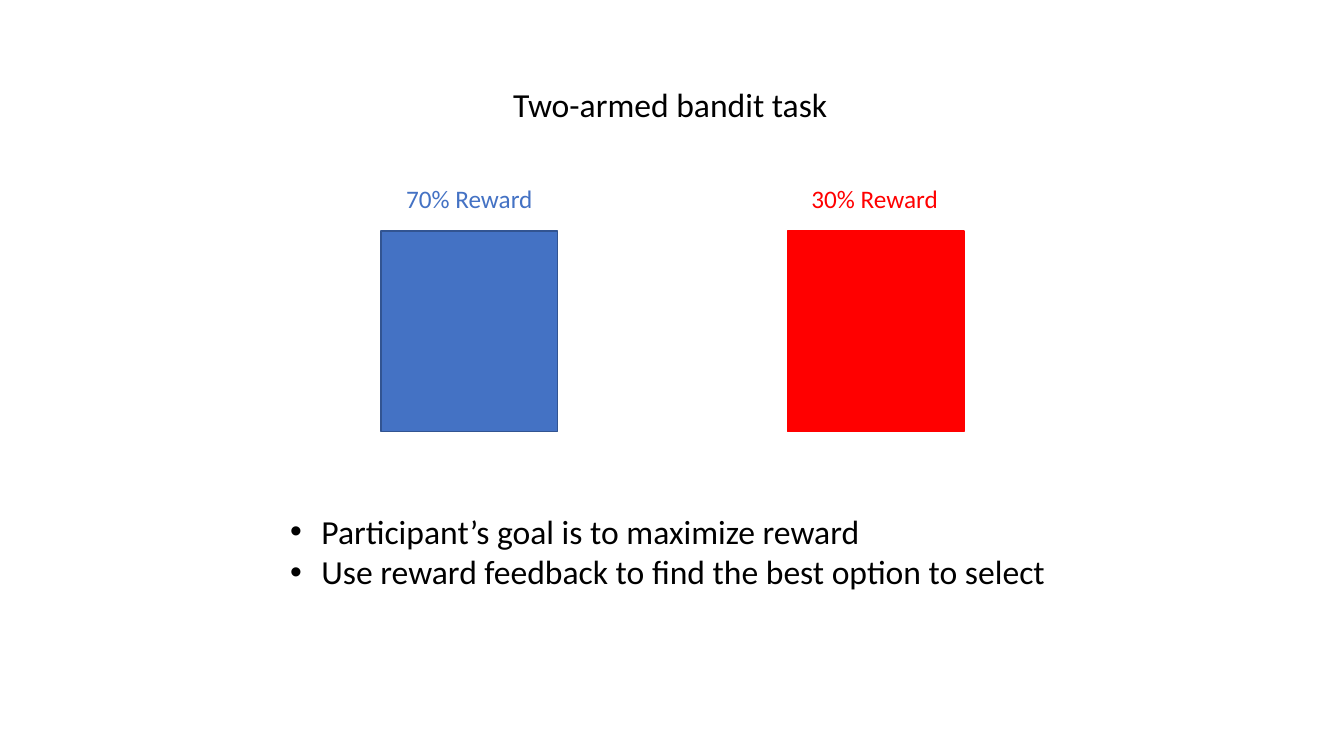
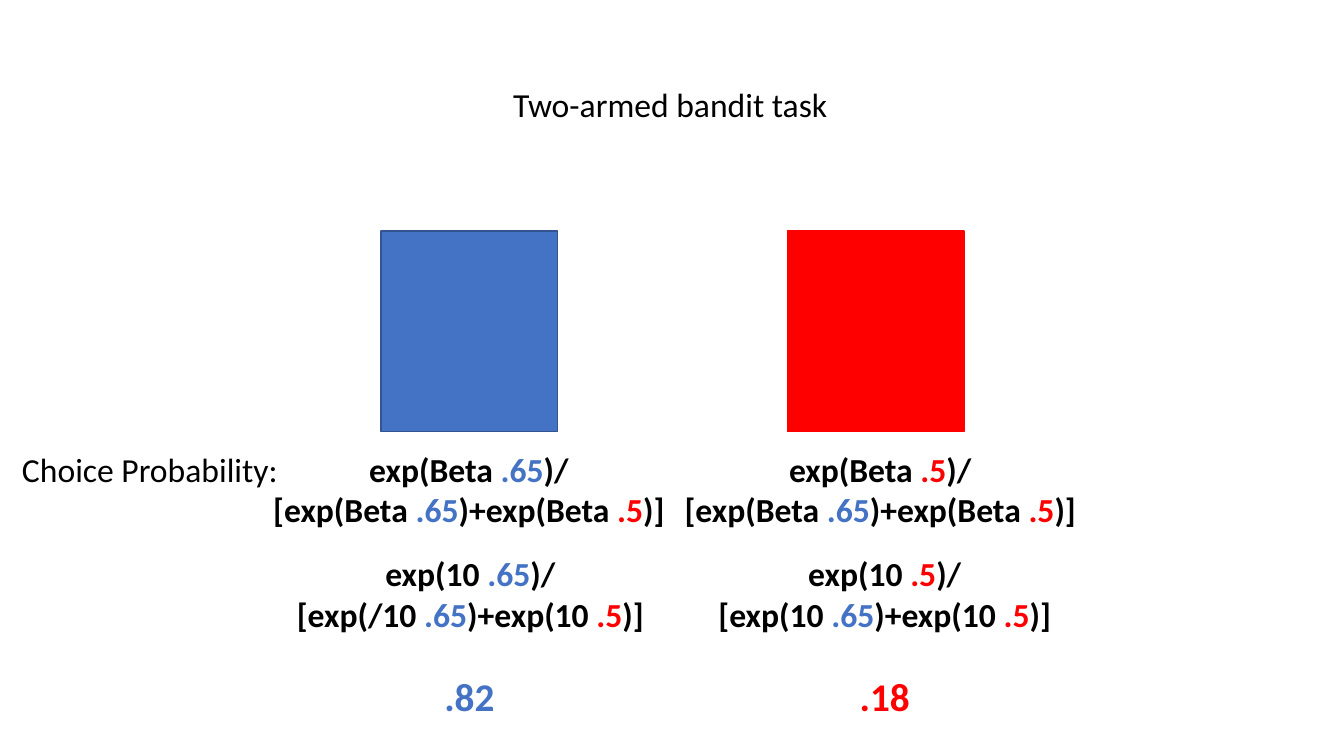
from lxml import etree
from pptx import Presentation
from pptx.dml.color import RGBColor
from pptx.enum.shapes import MSO_SHAPE
from pptx.enum.text import MSO_AUTO_SIZE, PP_ALIGN
from pptx.oxml.ns import qn
from pptx.util import Inches, Pt

RECTANGLE = MSO_SHAPE.RECTANGLE
LEFT, CENTER = PP_ALIGN.LEFT, PP_ALIGN.CENTER
FIT_SHAPE = MSO_AUTO_SIZE.SHAPE_TO_FIT_TEXT

COLORS = {"text": "000000", "blue": "4472C4", "blue_edge": "325491", "red": "FF0000"}
FORMATS = {
    "body": {"name": "Calibri", "size": Pt(24)},
    "reward": {"name": "Calibri", "size": Pt(18)},
    "formula": {"name": "Calibri", "size": Pt(24), "bold": True},
    "result": {"name": "Calibri", "size": Pt(28), "bold": True},
}
FRAME = {"word_wrap": False, "auto_size": FIT_SHAPE}
INDENT = Inches(0.31)
ARMS_BOX = (3.78, 2.29, 5.78, 1.99)
ARM_WIDTH = 1.75
BLUE_VALUE, RED_VALUE = (".65", "blue"), (".5", "red")


def rgb(color):
    """Return the named colour."""
    return RGBColor.from_string(COLORS[color])


def apply_format(target, values):
    """Set each attribute in values on target."""
    for attribute, value in values.items():
        setattr(target, attribute, value)


def add_bullet(paragraph):
    """Give a paragraph a hanging round bullet."""
    properties = paragraph._p.get_or_add_pPr()
    properties.set("marL", str(INDENT))
    properties.set("indent", str(-INDENT))
    etree.SubElement(properties, qn("a:buFont")).set("typeface", "Arial")
    etree.SubElement(properties, qn("a:buChar")).set("char", "•")


def add_text(slide, box, lines, style="body", align=LEFT, bulleted=False):
    """Place lines of (wording, colour) runs in a box."""
    frame = slide.shapes.add_textbox(*map(Inches, box)).text_frame
    apply_format(frame, FRAME)
    for index, line in enumerate(lines):
        paragraph = frame.paragraphs[0] if index == 0 else frame.add_paragraph()
        paragraph.alignment = align
        if bulleted:
            add_bullet(paragraph)
        for wording, color in line:
            run = paragraph.add_run()
            run.text = wording
            apply_format(run.font, FORMATS[style])
            run.font.color.rgb = rgb(color)


def add_arms(slide, box):
    """Draw the two arms at the left and right ends of a box."""
    left, top, width, height = box
    arms = ((left, "blue", "blue_edge"), (left + width - ARM_WIDTH, "red", "red"))
    for arm_left, fill, edge in arms:
        arm = slide.shapes.add_shape(
            RECTANGLE, *map(Inches, (arm_left, top, ARM_WIDTH, height)))
        arm.shadow.inherit = False
        arm.fill.solid()
        arm.fill.fore_color.rgb = rgb(fill)
        arm.line.color.rgb = rgb(edge)
        arm.line.width = Pt(1)


def add_task_slide(deck):
    """Add a slide with the shared title and arms."""
    slide = deck.slides.add_slide(deck.slide_layouts[6])
    add_arms(slide, ARMS_BOX)
    add_text(slide, (4.99, 0.78, 3.35, 0.5), [[("Two-armed bandit task", "text")]])
    return slide


def softmax(factor, chosen, first_factor=None):
    """Return the two lines of a choice probability formula."""
    return [
        [(f"exp({factor} ", "text"), chosen, (")/", "text")],
        [(f"[exp({first_factor or factor} ", "text"), BLUE_VALUE,
         (f")+exp({factor} ", "text"), RED_VALUE, (")]", "text")],
    ]


def build_reward_slide(deck):
    """Show the reward rate of each arm and the goal."""
    slide = add_task_slide(deck)
    for left, rate, color in ((3.93, "70%", "blue"), (7.95, "30%", "red")):
        add_text(slide, (left, 1.77, 1.47, 0.4), [[(f"{rate} Reward", color)]], "reward")
    goals = ("Participant’s goal is to maximize reward",
             "Use reward feedback to find the best option to select")
    add_text(slide, (2.78, 5.02, 7.77, 0.91), [[(goal, "text")] for goal in goals],
             bulleted=True)


def build_probability_slide(deck):
    """Work out the choice probability of each arm."""
    slide = add_task_slide(deck)
    add_text(slide, (0.12, 4.4, 2.84, 0.5), [[("Choice Probability:", "text")]])
    steps = (
        ((2.59, 4.4, 4.12, 0.91), softmax("Beta", BLUE_VALUE), "formula"),
        ((6.67, 4.4, 4.12, 0.91), softmax("Beta", RED_VALUE), "formula"),
        ((2.83, 5.44, 3.67, 0.91), softmax("10", BLUE_VALUE, "/10"), "formula"),
        ((7.01, 5.44, 3.53, 0.91), softmax("10", RED_VALUE), "formula"),
        ((4.3, 6.62, 0.71, 0.57), [[(".82", "blue")]], "result"),
        ((8.42, 6.62, 0.71, 0.57), [[(".18", "red")]], "result"),
    )
    for box, lines, style in steps:
        add_text(slide, box, lines, style, CENTER)


def main():
    """Build and save the deck."""
    deck = Presentation()
    deck.slide_width, deck.slide_height = Inches(13.33), Inches(7.5)
    build_reward_slide(deck)
    build_probability_slide(deck)
    deck.save("out.pptx")


if __name__ == "__main__":
    main()
